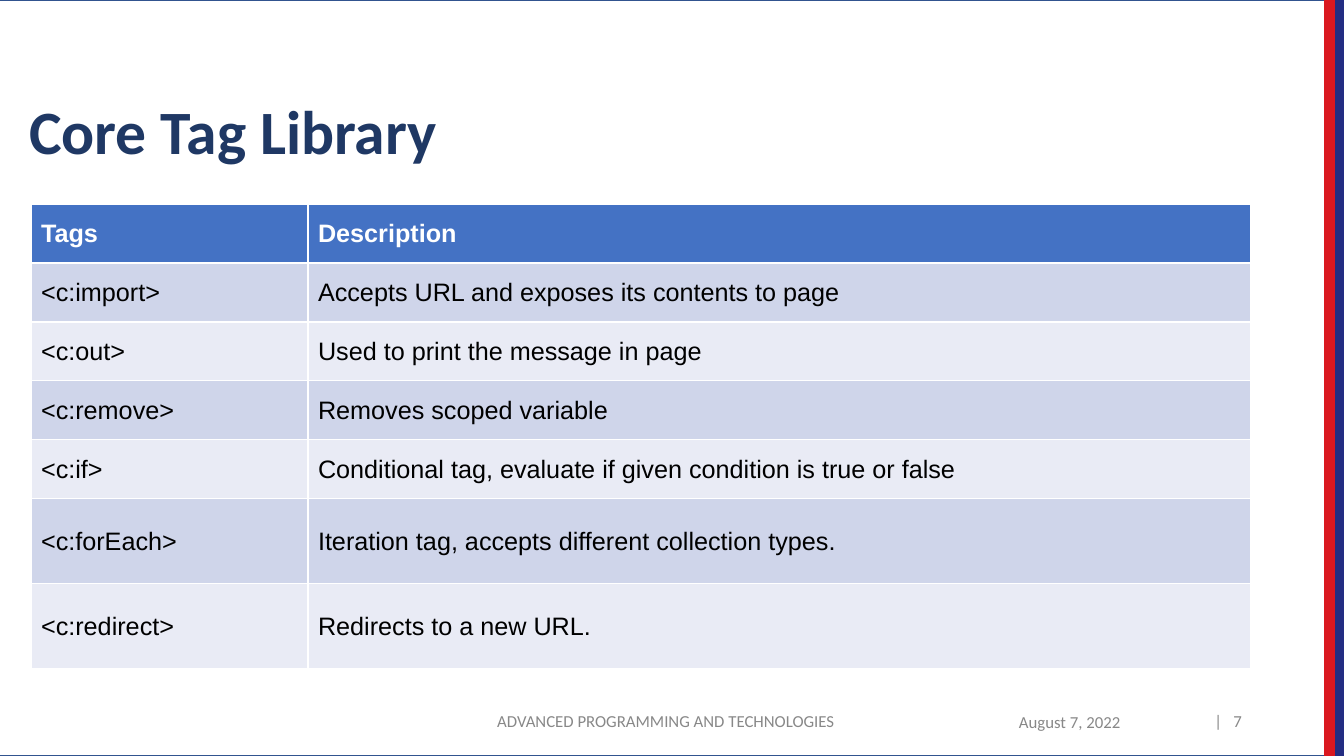
from pptx import Presentation
from pptx.dml.color import RGBColor
from pptx.enum.shapes import MSO_SHAPE
from pptx.enum.text import MSO_ANCHOR, MSO_AUTO_SIZE, PP_ALIGN
from pptx.util import Emu, Pt

SCALE = 914400 / 100.8
COLORS = {
    "title": "1F3864", "footer": "888888", "frame": "31538F",
    "red": "DA1820", "navy": "232D82", "header": "4472C4",
    "odd": "CFD5EA", "even": "E9EBF5", "white": "FFFFFF", "black": "000000",
}


def px(*lengths):
    """Turn pixel lengths into a list of EMU lengths."""
    return [Emu(round(length * SCALE)) for length in lengths]


def style_text(frame, font, size, color, bold=False, align=PP_ALIGN.LEFT):
    """Format every run of a text frame."""
    for para in frame.paragraphs:
        para.alignment = align
        for span in para.runs:
            span.font.name = font
            span.font.size = Pt(size)
            span.font.bold = bold
            span.font.color.rgb = RGBColor.from_string(COLORS[color])


deck = Presentation()
deck.slide_width, deck.slide_height = px(1344, 756)
page = deck.slides.add_slide(deck.slide_layouts[5])

# Page frame and the two stripes on the right edge
for left, width, fill, line in [
    (-9, 1335, None, "frame"),
    (1335, 9, "navy", "navy"),
    (1325, 9, "red", "red"),
]:
    box = page.shapes.add_shape(MSO_SHAPE.RECTANGLE, *px(left, 0, width, 756))
    box.shadow.inherit = False
    if fill:
        box.fill.solid()
        box.fill.fore_color.rgb = RGBColor.from_string(COLORS[fill])
    else:
        box.fill.background()
    box.line.color.rgb = RGBColor.from_string(COLORS[line])
    box.line.width = Pt(1)

# Title
title = page.shapes.title
title.left, title.top, title.width, title.height = px(19, 27, 1233, 146)
title.text_frame.text = "Core Tag Library"
title.text_frame.auto_size = MSO_AUTO_SIZE.NONE
title.text_frame.vertical_anchor = MSO_ANCHOR.BOTTOM
title.text_frame.paragraphs[0].line_spacing = 0.9
style_text(title.text_frame, "Calibri", 44, "title", bold=True)

# Footer
for text, left, top, width, align in [
    ("|   7", 1176, 701, 76, PP_ALIGN.RIGHT),
    ("August 7, 2022", 1009, 702, 148, PP_ALIGN.LEFT),
    ("ADVANCED PROGRAMMING AND TECHNOLOGIES", 350, 701, 632, PP_ALIGN.CENTER),
]:
    box = page.shapes.add_textbox(*px(left, top, width, 40))
    box.text_frame.word_wrap = True
    box.text_frame.vertical_anchor = MSO_ANCHOR.MIDDLE
    box.text_frame.text = text
    style_text(box.text_frame, "Calibri", 12, "footer", align=align)

# Tag table; its built-in style supplies the white borders
TAGS = [
    ("Tags", "Description"),
    ("<c:import>", "Accepts URL and exposes its contents to page"),
    ("<c:out>", "Used to print the message in page"),
    ("<c:remove>", "Removes scoped variable"),
    ("<c:if>", "Conditional tag, evaluate if given condition is true or false"),
    ("<c:forEach>", "Iteration tag, accepts different collection types."),
    ("<c:redirect>", "Redirects to a new URL."),
]
ROW_HEIGHTS = [59] * 5 + [85] * 2
COLUMN_WIDTHS = [277, 943]
table = page.shapes.add_table(
    len(TAGS), 2, *px(31, 204, sum(COLUMN_WIDTHS), sum(ROW_HEIGHTS))
).table
for column, width in zip(table.columns, px(*COLUMN_WIDTHS)):
    column.width = width
for index, (row, height) in enumerate(zip(table.rows, px(*ROW_HEIGHTS))):
    row.height = height
    is_header = index == 0
    fill = "header" if is_header else "odd" if index % 2 else "even"
    for cell, text in zip(row.cells, TAGS[index]):
        cell.text_frame.text = text
        cell.vertical_anchor = MSO_ANCHOR.MIDDLE
        cell.fill.solid()
        cell.fill.fore_color.rgb = RGBColor.from_string(COLORS[fill])
        style_text(cell.text_frame, "Arial", 18,
                   "white" if is_header else "black", bold=is_header)

deck.save("out.pptx")
